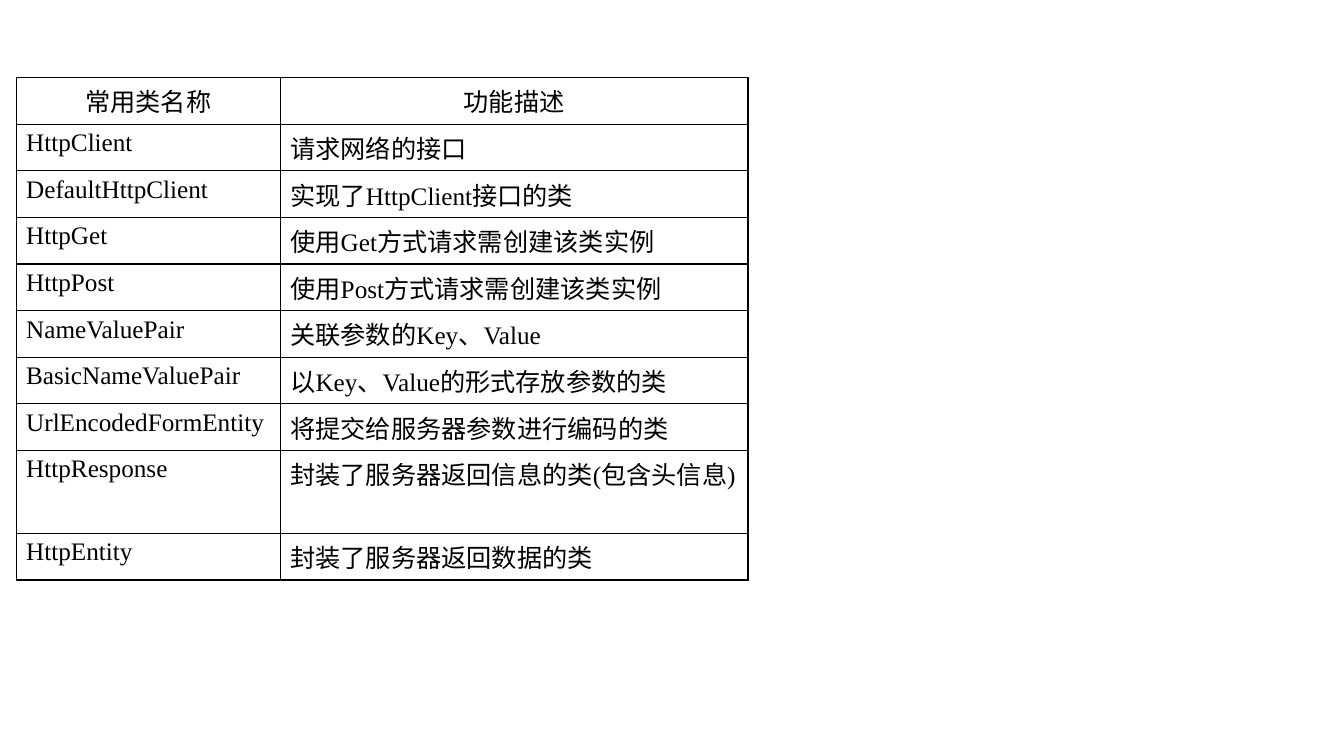
from dataclasses import dataclass

from lxml import etree
from pptx import Presentation
from pptx import util as u
from pptx.dml.color import RGBColor
from pptx.enum import text
from pptx.oxml.ns import qn


@dataclass(frozen=True)
class Theme:
    ink: str = "000000"
    font: str = "Times New Roman"
    body: int = 18
    rule: int = 1


THEME = Theme()
SLIDE_SIZE = (13.33, 7.5)
COLUMN_WIDTHS = (2.62, 4.64)
ROW_HEIGHT = 0.41

HTTP_CLASSES = [
    ("常用类名称", "功能描述"),
    ("HttpClient", "请求网络的接口"),
    ("DefaultHttpClient", "实现了HttpClient接口的类"),
    ("HttpGet", "使用Get方式请求需创建该类实例"),
    ("HttpPost", "使用Post方式请求需创建该类实例"),
    ("NameValuePair", "关联参数的Key、Value"),
    ("BasicNameValuePair", "以Key、Value的形式存放参数的类"),
    ("UrlEncodedFormEntity", "将提交给服务器参数进行编码的类"),
    ("HttpResponse", "封装了服务器返回信息的类(包含头信息)"),
    ("HttpEntity", "封装了服务器返回数据的类"),
]


def rule_cell(cell):
    """Draw a thin line on all four sides of the cell."""
    properties = cell._tc.get_or_add_tcPr()
    for position, side in enumerate(("lnL", "lnR", "lnT", "lnB")):
        line = etree.Element(qn(f"a:{side}"), w=str(u.Pt(THEME.rule)))
        fill = etree.SubElement(line, qn("a:solidFill"))
        etree.SubElement(fill, qn("a:srgbClr"), val=THEME.ink)
        properties.insert(position, line)


def write_cell(cell, words, alignment):
    cell.fill.background()
    rule_cell(cell)
    cell.text_frame.text = words
    paragraph = cell.text_frame.paragraphs[0]
    paragraph.alignment = alignment
    for run in paragraph.runs:
        run.font.name = THEME.font
        run.font.size = u.Pt(THEME.body)
        run.font.color.rgb = RGBColor.from_string(THEME.ink)


def class_table(slide, left, top, widths, row_height, rows):
    frame = slide.shapes.add_table(
        len(rows), len(widths), u.Inches(left), u.Inches(top),
        u.Inches(sum(widths)), u.Inches(row_height * len(rows)))
    table = frame.table
    table.first_row = table.horz_banding = False
    for column, width in zip(table.columns, widths):
        column.width = u.Inches(width)
    for index, (row, entries) in enumerate(zip(table.rows, rows)):
        row.height = u.Inches(row_height)
        alignment = text.PP_ALIGN.LEFT if index else text.PP_ALIGN.CENTER
        for cell, words in zip(row.cells, entries):
            write_cell(cell, words, alignment)


def main():
    deck = Presentation()
    deck.slide_width, deck.slide_height = map(u.Inches, SLIDE_SIZE)
    slide = deck.slides.add_slide(deck.slide_layouts[6])
    class_table(slide, 0.16, 0.77, COLUMN_WIDTHS, ROW_HEIGHT, HTTP_CLASSES)
    deck.save("out.pptx")


if __name__ == "__main__":
    main()
